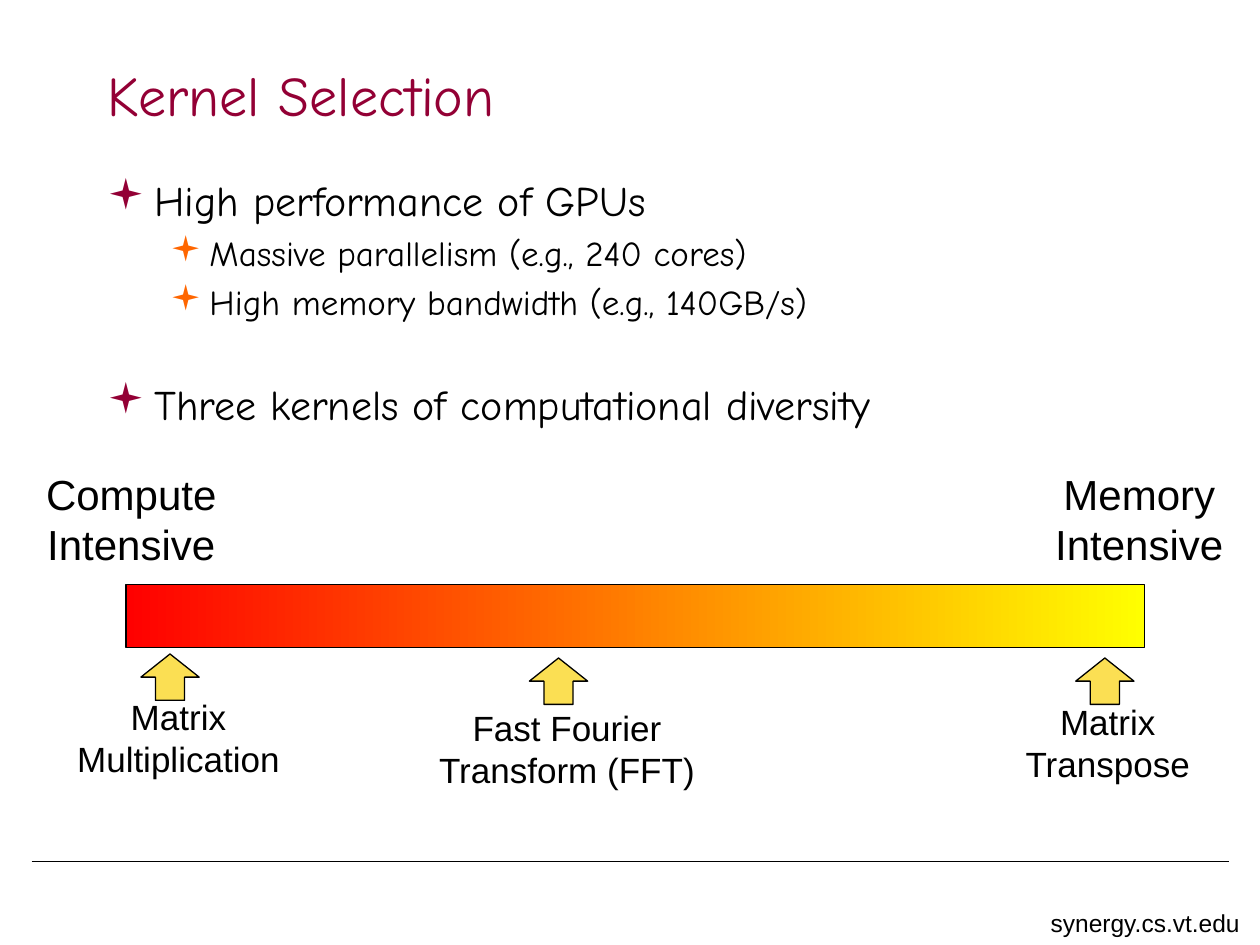
from lxml import etree
from pptx import Presentation
from pptx.dml.color import RGBColor
from pptx.enum import shapes, text
from pptx.oxml.ns import qn
from pptx.util import Pt

BLACK = RGBColor(0x00, 0x00, 0x00)
MAROON = RGBColor(0x93, 0x00, 0x35)
ORANGE = RGBColor(0xFF, 0x66, 0x00)
RED = RGBColor(0xFF, 0x00, 0x00)
YELLOW = RGBColor(0xFF, 0xFF, 0x00)
GOLD = RGBColor(0xFB, 0xDF, 0x53)


def add_label(s, label, x, y, w, h, size, align=text.PP_ALIGN.CENTER, wrap=True):
    tf = s.shapes.add_textbox(Pt(x), Pt(y), Pt(w), Pt(h)).text_frame
    tf.word_wrap = wrap
    tf.text = label
    p = tf.paragraphs[0]
    p.alignment = align
    r = p.runs[0]
    r.font.name, r.font.size = "Arial", Pt(size)
    r.font.color.rgb = BLACK


def add_bullet(p, color, margin, indent):
    pPr = p._p.get_or_add_pPr()
    pPr.set("marL", str(Pt(margin)))
    pPr.set("indent", str(Pt(-indent)))
    clr = etree.SubElement(pPr, qn("a:buClr"))
    etree.SubElement(clr, qn("a:srgbClr"), val=str(color))
    etree.SubElement(pPr, qn("a:buFont"), typeface="Wingdings")
    etree.SubElement(pPr, qn("a:buChar"), char="▪")


prs = Presentation()
prs.slide_width, prs.slide_height = Pt(720), Pt(540)
s = prs.slides.add_slide(prs.slide_layouts[1])

# Footer rule and address
rule = s.shapes.add_connector(shapes.MSO_CONNECTOR.STRAIGHT, Pt(18), Pt(492), Pt(702), Pt(492))
rule.line.color.rgb = BLACK
rule.line.width = Pt(0.25)
etree.SubElement(rule._element.spPr, qn("a:effectLst"))
add_label(s, "synergy.cs.vt.edu", 593.3, 515.5, 126.7, 24.5, 14, text.PP_ALIGN.LEFT, False)

# Title
title = s.shapes.title
title.left, title.top, title.width, title.height = Pt(54), Pt(24), Pt(612), Pt(60)
tf = title.text_frame
tf.auto_size = text.MSO_AUTO_SIZE.NONE
tf.vertical_anchor = text.MSO_ANCHOR.MIDDLE
tf.text = "Kernel Selection"
p = tf.paragraphs[0]
p.alignment = text.PP_ALIGN.LEFT
r = p.runs[0]
r.font.name, r.font.size = "Comic Neue", Pt(32)
r.font.color.rgb = MAROON

# Bulleted list: text, level, space before
items = [
    ("High performance of GPUs", 0, 0),
    ("Massive parallelism (e.g., 240 cores)", 1, 4),
    ("High memory bandwidth (e.g., 140GB/s)", 1, 4),
    ("Three kernels of computational diversity", 0, 32),
]
levels = [(24, MAROON, 27, 27), (20, ORANGE, 58.5, 22.5)]
body = s.placeholders[1]
body.left, body.top, body.width, body.height = Pt(54), Pt(96), Pt(612), Pt(360)
tf = body.text_frame
tf.auto_size = text.MSO_AUTO_SIZE.NONE
tf.text = "\n".join(item[0] for item in items)
for p, (_, level, before) in zip(tf.paragraphs, items):
    size, color, margin, indent = levels[level]
    p.level = level
    add_bullet(p, color, margin, indent)
    p.space_before = Pt(before)
    r = p.runs[0]
    r.font.name, r.font.size = "Comic Neue", Pt(size)
    r.font.color.rgb = BLACK

# Spectrum bar
bar = s.shapes.add_shape(shapes.MSO_SHAPE.RECTANGLE, Pt(72), Pt(334), Pt(582), Pt(36))
bar.shadow.inherit = False
bar.fill.gradient()
bar.fill.gradient_angle = 0
for stop, color in zip(bar.fill.gradient_stops, (RED, YELLOW)):
    stop.color.rgb = color
bar.line.color.rgb = BLACK
bar.line.width = Pt(0.75)

# Ends of the spectrum
for label, x in (("Compute Intensive", 18), ("Memory Intensive", 594)):
    add_label(s, label, x, 264, 114, 65.5, 24)

# Kernels: label, arrow left and top, label left, top and width
kernels = [
    ("Matrix Multiplication", 80.5, 373.7, 30, 394, 144),
    ("Matrix Transpose", 614.7, 376, 570, 396.5, 126),
    ("Fast Fourier Transform (FFT)", 302.5, 376, 240, 400.3, 168),
]
for label, arrow_x, arrow_y, x, y, w in kernels:
    arrow = s.shapes.add_shape(shapes.MSO_SHAPE.UP_ARROW, Pt(arrow_x), Pt(arrow_y), Pt(33.3), Pt(26.5))
    arrow.shadow.inherit = False
    arrow.fill.solid()
    arrow.fill.fore_color.rgb = GOLD
    arrow.line.color.rgb = BLACK
    arrow.line.width = Pt(0.75)
    add_label(s, label, x, y, w, 55.5, 20)

prs.save("out.pptx")
